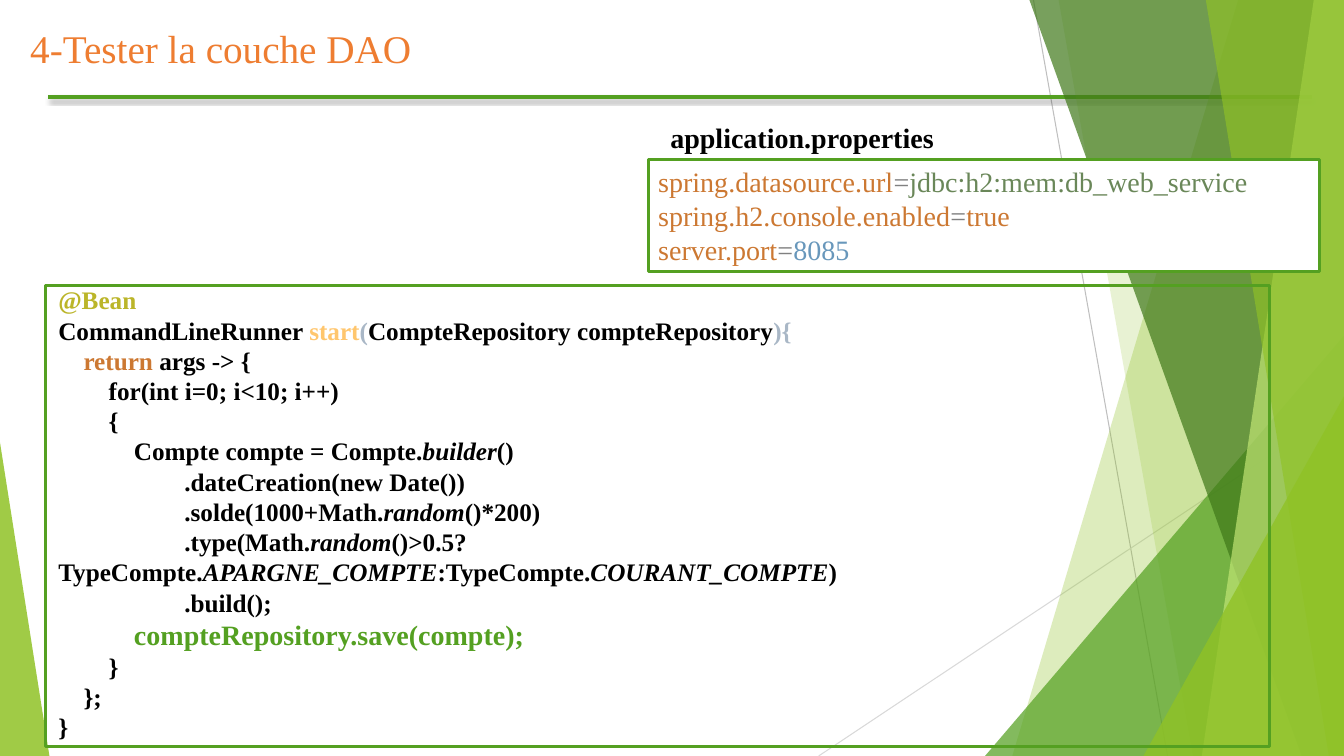
from dataclasses import dataclass

from lxml.etree import SubElement
from pptx import Presentation
from pptx.dml.color import RGBColor
from pptx.enum.shapes import MSO_CONNECTOR, MSO_SHAPE
from pptx.enum.text import MSO_ANCHOR, MSO_AUTO_SIZE, PP_ALIGN
from pptx.oxml.ns import qn
from pptx.util import Inches, Pt


@dataclass(frozen=True)
class Theme:
    font: str = "Times New Roman"
    title_size: int = 28
    large: int = 20
    code: int = 18
    title: str = "EE7D31"
    black: str = "000000"
    white: str = "FFFFFF"
    lime: str = "90C226"
    green: str = "54A021"
    forest: str = "3F7819"
    pale: str = "C0E474"
    line_dark: str = "BFBFBF"
    line_light: str = "D9D9D9"
    annotation: str = "BBB529"
    keyword: str = "CC7832"
    method: str = "FFC66D"
    bracket: str = "A9B7C6"
    equals: str = "808080"
    string: str = "6A8759"
    number: str = "6897BB"


T = Theme()
W, H = 13.33, 7.5


def paint(sp, color, opacity):
    """Fill a facet with a translucent colour, without outline or shadow."""
    sp.shadow.inherit = False
    sp.line.fill.background()
    sp.fill.solid()
    sp.fill.fore_color.rgb = RGBColor.from_string(color)
    clr = sp.fill._xPr.find(qn("a:solidFill"))[0]
    SubElement(clr, qn("a:alpha"), val=str(opacity * 1000))


def write(tf, lines, size, bold=False):
    """Write lines of (indent level, runs); a run is (text, colour[, italic[, size]])."""
    for n, (level, runs) in enumerate(lines):
        p = tf.paragraphs[0] if n == 0 else tf.add_paragraph()
        p.alignment = PP_ALIGN.LEFT
        p.space_before = Pt(0)
        largest = max((run[3] for run in runs if len(run) > 3), default=size)
        if len(lines) > 1:
            p.line_spacing = Pt(1.2 * largest)
        pPr = p._p.get_or_add_pPr()
        pPr.set("marL", "0")
        pPr.set("indent", str(Inches(0.25 * level)))
        for text, color, *extra in runs:
            r = p.add_run()
            r.text = text
            r.font.name = T.font
            r.font.size = Pt(extra[1] if len(extra) > 1 else size)
            r.font.bold = bold
            r.font.italic = bool(extra and extra[0])
            r.font.color.rgb = RGBColor.from_string(color)


prs = Presentation()
prs.slide_width, prs.slide_height = Inches(W), Inches(H)
s = prs.slides.add_slide(prs.slide_layouts[5])

# Thin background lines and the rule under the title
for x1, y1, x2, y2, color, width in [
    (10.25, 0, 11.58, H, T.line_dark, 0.75),
    (W, 4.03, 8.12, H, T.line_light, 0.75),
    (0.48, 0.96, 13.01, 0.96, T.green, 3),
]:
    rule = s.shapes.add_connector(
        MSO_CONNECTOR.STRAIGHT, Inches(x1), Inches(y1), Inches(x2), Inches(y2))
    rule.line.color.rgb = RGBColor.from_string(color)
    rule.line.width = Pt(width)
    effects = SubElement(rule._element.spPr, qn("a:effectLst"))
shadow = SubElement(effects, qn("a:outerShdw"), blurRad=str(Pt(3)), dist=str(Pt(2)),
                    dir="5400000", rotWithShape="0")
SubElement(SubElement(shadow, qn("a:srgbClr"), val=T.black), qn("a:alpha"), val="35000")

# Facets: a panel runs from its slanted left edge (top x, bottom x) to the right
# side of the slide; a triangle is (left, top, width, apex)
for facet, color, opacity in [
    ((12.28, 10.04), T.lime, 30),
    ((10.5, 11.83), T.lime, 20),
    ((9.77, 3.33, 3.56, 1), T.green, 72),
    ((10.21, 12.91), T.forest, 70),
    ((13.03, 11.92), T.pale, 70),
    ((11.96, 13.18), T.lime, 65),
    ((11.34, 3.93, 1.99, 1), T.lime, 80),
    ((0, 4.39, 0.49, 0), T.lime, 85),
]:
    if len(facet) == 2:
        top_x, bottom_x = facet
        builder = s.shapes.build_freeform(Inches(top_x), 0)
        corners = [(W, 0), (W, H), (bottom_x, H)]
        builder.add_line_segments([(Inches(x), Inches(y)) for x, y in corners])
        sp = builder.convert_to_shape()
    else:
        left, top, width, apex = facet
        sp = s.shapes.add_shape(MSO_SHAPE.ISOSCELES_TRIANGLE, Inches(left), Inches(top),
                                Inches(width), Inches(H - top))
        sp.adjustments[0] = apex
    paint(sp, color, opacity)

# Title
title = s.shapes.title
title.left, title.top = Inches(0.2), Inches(0.19)
title.width, title.height = Inches(6.67), Inches(0.57)
tf = title.text_frame
tf.auto_size = MSO_AUTO_SIZE.NONE
tf.vertical_anchor = MSO_ANCHOR.TOP
write(tf, [(0, [("4-Tester la couche DAO", T.title)])], T.title_size)

# Frames around the properties and the code
properties = s.shapes.add_shape(
    MSO_SHAPE.RECTANGLE, Inches(6.43), Inches(1.58), Inches(6.66), Inches(1.11))
code_frame = s.shapes.add_shape(
    MSO_SHAPE.RECTANGLE, Inches(0.45), Inches(2.83), Inches(12.14), Inches(4.58))
for frame in (properties, code_frame):
    frame.shadow.inherit = False
    frame.line.color.rgb = RGBColor.from_string(T.green)
    frame.line.width = Pt(2.25)
code_frame.fill.background()
properties.fill.solid()
properties.fill.fore_color.rgb = RGBColor.from_string(T.white)

tf = properties.text_frame
tf.word_wrap = True
tf.vertical_anchor = MSO_ANCHOR.MIDDLE
write(tf, [
    (0, [(key, T.keyword), ("=", T.equals), (value, color)])
    for key, value, color in [
        ("spring.datasource.url", "jdbc:h2:mem:db_web_service", T.string),
        ("spring.h2.console.enabled", "true", T.keyword),
        ("server.port", "8085", T.number),
    ]
], T.large)

label = s.shapes.add_textbox(Inches(6.55), Inches(1.15), Inches(2.83), Inches(0.44))
write(label.text_frame, [(0, [("application.properties", T.black)])], T.large, bold=True)

# Code
code = s.shapes.add_textbox(Inches(0.48), Inches(2.99), Inches(11.91), Inches(4.2))
tf = code.text_frame
tf.word_wrap = True
tf.vertical_anchor = MSO_ANCHOR.MIDDLE
write(tf, [
    (0, [("@Bean", T.annotation)]),
    (0, [("CommandLineRunner ", T.black), ("start", T.method), ("(", T.bracket),
         ("CompteRepository compteRepository", T.black), ("){", T.bracket)]),
    (1, [("return ", T.keyword), ("args -> {", T.black)]),
    (2, [("for(int i=0; i<10; i++)", T.black)]),
    (2, [("{", T.black)]),
    (3, [("Compte compte = Compte.", T.black), ("builder", T.black, True), ("()", T.black)]),
    (5, [(".dateCreation(new Date())", T.black)]),
    (5, [(".solde(1000+Math.", T.black), ("random", T.black, True), ("()*200)", T.black)]),
    (5, [(".type(Math.", T.black), ("random", T.black, True), ("()>0.5?", T.black)]),
    (0, [("TypeCompte.", T.black), ("APARGNE_COMPTE", T.black, True),
         (":TypeCompte.", T.black), ("COURANT_COMPTE", T.black, True), (")", T.black)]),
    (5, [(".build();", T.black)]),
    (3, [("compteRepository.save(compte);", T.green, False, T.large)]),
    (2, [("}", T.black)]),
    (1, [("};", T.black)]),
    (0, [("}", T.black)]),
], T.code, bold=True)

prs.save("out.pptx")
